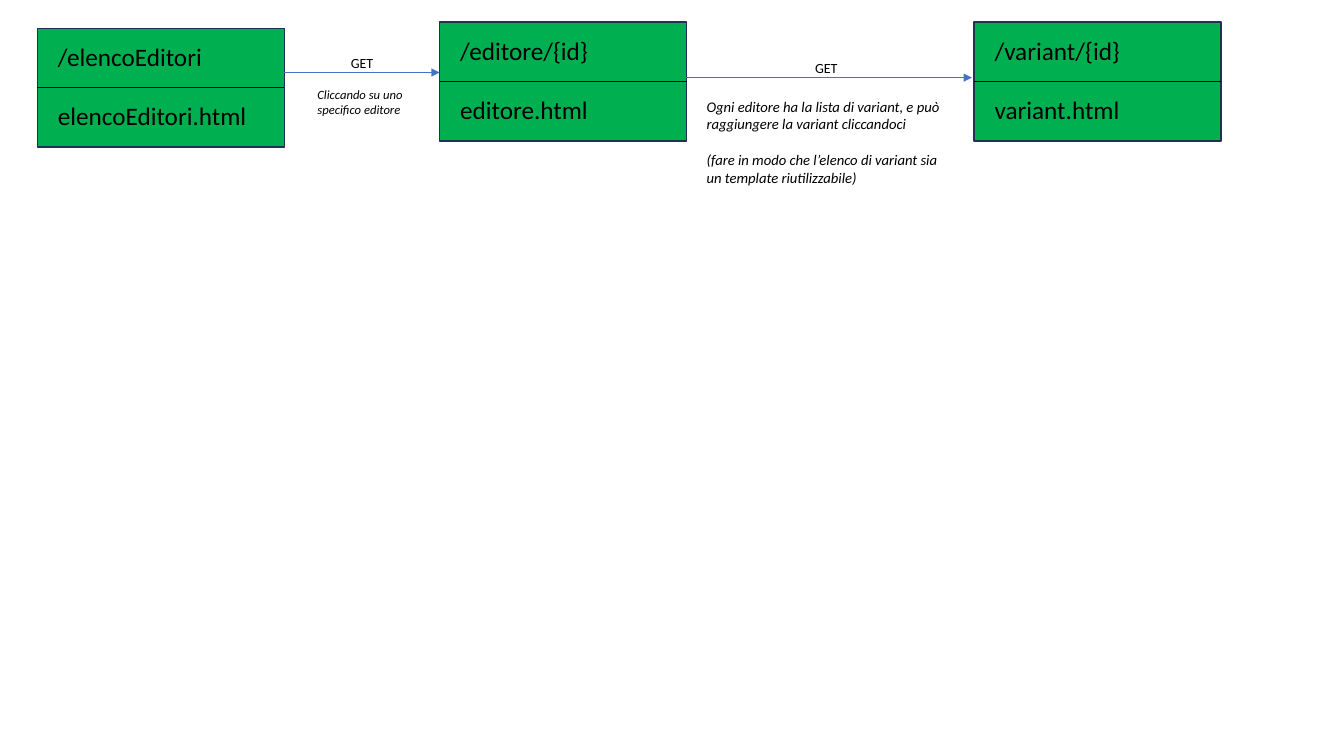
from dataclasses import dataclass

import pptx
import pptx.dml.color
import pptx.enum.shapes
import pptx.enum.text
import pptx.oxml
import pptx.oxml.ns
import pptx.util

# Grid: 100 columns by 100 rows over the slide
SLIDE_WIDTH = pptx.util.Inches(13.33)
SLIDE_HEIGHT = pptx.util.Inches(7.5)

FONT = "Calibri"
GREEN, NAVY, BLUE, BLACK = "00B050", "1E3256", "4472C4", "000000"

CARD_WIDTH, CARD_HEIGHT = 18.38, 15.73
LABEL_INDENT, LABEL_WIDTH, LABEL_HEIGHT = 0.79, 16.73, 5.33
LABEL_DROP = 1.07
GET_WIDTH, GET_HEIGHT, GET_RISE = 3.15, 3.6, 3.0


@dataclass
class RouteCard:
    column: float
    row: float
    route: str
    template: str


@dataclass
class Request:
    start: float
    end: float
    row: float


@dataclass
class Note:
    column: float
    row: float
    width: float
    height: float
    size: float
    paragraphs: tuple[str, ...]
    gap: float = 0


CARDS = [
    RouteCard(2.78, 3.73, "/elencoEditori", "elencoEditori.html"),
    RouteCard(32.71, 2.93, "/editore/{id}", "editore.html"),
    RouteCard(72.47, 2.93, "/variant/{id}", "variant.html"),
]
REQUESTS = [Request(21.16, 32.71, 9.6), Request(50.64, 72.32, 10.27)]
NOTES = [
    Note(22.88, 10.8, 8.18, 5.33, 9, ("Cliccando su uno specifico editore",)),
    Note(51.84, 12.27, 18.83, 13.07, 10.5, (
        "Ogni editore ha la lista di variant, e può raggiungere la variant cliccandoci",
        "(fare in modo che l’elenco di variant sia un template riutilizzabile)",
    ), gap=12.8),
]


def across(columns: float) -> int:
    return round(SLIDE_WIDTH * columns / 100)


def down(rows: float) -> int:
    return round(SLIDE_HEIGHT * rows / 100)


def colour(value: str) -> pptx.dml.color.RGBColor:
    return pptx.dml.color.RGBColor.from_string(value)


def add_text(page, column: float, row: float, width: float, height: float,
             *paragraphs: str, size: float, italic: bool = False, wrap: bool = True,
             align=pptx.enum.text.PP_ALIGN.LEFT, gap: float = 0) -> None:
    box = page.shapes.add_textbox(across(column), down(row), across(width), down(height))
    frame = box.text_frame
    frame.word_wrap = wrap
    for index, text in enumerate(paragraphs):
        para = frame.add_paragraph() if index else frame.paragraphs[0]
        para.alignment = align
        if index:
            para.space_before = pptx.util.Pt(gap)
        span = para.add_run()
        span.text = text
        span.font.name = FONT
        span.font.size = pptx.util.Pt(size)
        span.font.italic = italic
        span.font.color.rgb = colour(BLACK)


def add_line(page, start: float, end: float, row: float, ink: str, arrow: bool = False) -> None:
    line = page.shapes.add_connector(pptx.enum.shapes.MSO_CONNECTOR.STRAIGHT,
                                     across(start), down(row), across(end), down(row))
    line.line.color.rgb = colour(ink)
    line.line.width = pptx.util.Pt(0.5)
    if arrow:
        tail = pptx.oxml.parse_xml(
            f'<a:tailEnd {pptx.oxml.ns.nsdecls("a")} type="triangle"/>')
        line.line._get_or_add_ln().append(tail)
    line._element.spPr.append(
        pptx.oxml.parse_xml(f'<a:effectLst {pptx.oxml.ns.nsdecls("a")}/>'))


def add_card(page, card: RouteCard) -> None:
    box = page.shapes.add_shape(pptx.enum.shapes.MSO_SHAPE.RECTANGLE,
                                across(card.column), down(card.row),
                                across(CARD_WIDTH), down(CARD_HEIGHT))
    box.shadow.inherit = False
    box.fill.solid()
    box.fill.fore_color.rgb = colour(GREEN)
    box.line.color.rgb = colour(NAVY)
    box.line.width = pptx.util.Pt(1)
    half = CARD_HEIGHT / 2
    add_line(page, card.column, card.column + CARD_WIDTH, card.row + half, BLACK)
    for index, text in enumerate((card.route, card.template)):
        add_text(page, card.column + LABEL_INDENT, card.row + LABEL_DROP + index * half,
                 LABEL_WIDTH, LABEL_HEIGHT, text, size=18)


def add_request(page, request: Request) -> None:
    add_line(page, request.start, request.end, request.row, BLUE, arrow=True)
    middle = (request.start + request.end) / 2
    add_text(page, middle - GET_WIDTH / 2, request.row - GET_RISE, GET_WIDTH, GET_HEIGHT,
             "GET", size=10, wrap=False, align=pptx.enum.text.PP_ALIGN.CENTER)


def main() -> None:
    deck = pptx.Presentation()
    deck.slide_width, deck.slide_height = SLIDE_WIDTH, SLIDE_HEIGHT
    page = deck.slides.add_slide(deck.slide_layouts[6])

    # Pages of the site
    for card in CARDS:
        add_card(page, card)

    # Requests between the pages
    for request in REQUESTS:
        add_request(page, request)

    # Remarks under the arrows
    for note in NOTES:
        add_text(page, note.column, note.row, note.width, note.height, *note.paragraphs,
                 size=note.size, italic=True, gap=note.gap)

    deck.save("out.pptx")


if __name__ == "__main__":
    main()
